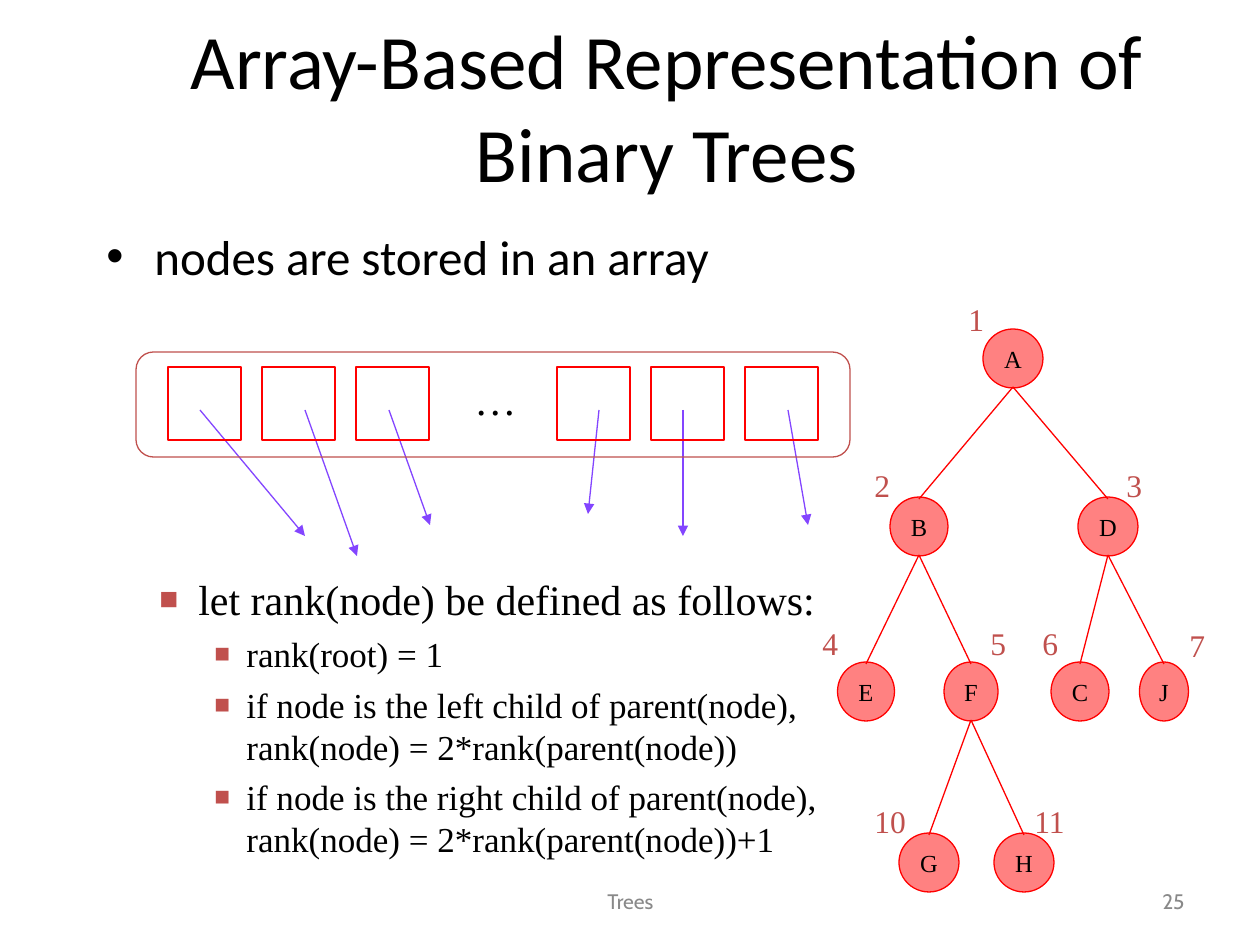
from dataclasses import dataclass

from lxml.etree import SubElement
from pptx import Presentation
from pptx.dml.color import RGBColor
from pptx.enum.shapes import MSO_CONNECTOR, MSO_SHAPE
from pptx.enum.text import MSO_ANCHOR, PP_ALIGN
from pptx.oxml.ns import qn
from pptx.util import Pt

EMU_PER_PX = 914400 / 126


@dataclass(frozen=True)
class Theme:
    heading_font: str = "Calibri"
    body_font: str = "Times New Roman"
    footer_font: str = "Cabin"
    text: str = "000000"
    accent: str = "C0504D"
    muted: str = "898989"
    outline: str = "FF0000"
    node_fill: str = "FF8181"
    pointer: str = "8345FF"
    line_width: float = 0.75
    title_size: int = 44
    lead_size: int = 28
    rule_size: int = 24
    detail_size: int = 20
    rank_size: int = 18
    node_size: int = 14
    footer_size: int = 12


THEME = Theme()

CELL_SIZE, CELL_PITCH, CELL_TOP = 73, 94, 367
CELL_GROUP_LEFTS = (168, 557)
POINTER_TOP = 410
# start x, end x, end y
POINTERS = [(200, 305, 536), (305, 357, 556), (389, 430, 525),
            (599, 588, 514), (683, 683, 536), (788, 808, 525)]

NODE_HEIGHT = 59
LEVEL_TOPS = (329, 497, 662, 833)
# letter: level, centre x, width
NODES = {
    "A": (0, 1013, 60),
    "B": (1, 919, 58), "D": (1, 1108, 60),
    "E": (2, 866, 57), "F": (2, 971, 54), "C": (2, 1080, 58), "J": (2, 1164, 49),
    "G": (3, 929, 60), "H": (3, 1024, 60),
}
EDGES = ("AB", "AD", "BE", "BF", "DC", "DJ", "FG", "FH")
# rank: left, top
RANKS = {
    "1": (956, 294), "2": (862, 460), "3": (1114, 460),
    "4": (810, 618), "5": (978, 618), "6": (1030, 618), "7": (1177, 620),
    "10": (862, 796), "11": (1022, 796),
}
RULES = [
    "rank(root) = 1",
    "if node is the left child of parent(node),\vrank(node) = 2*rank(parent(node))",
    "if node is the right child of parent(node),\vrank(node) = 2*rank(parent(node))+1",
]


def px(*lengths):
    return [round(length * EMU_PER_PX) for length in lengths]


def rgb(value):
    return RGBColor.from_string(value)


def add_bullet(paragraph, character, color, scale, margin, hang):
    properties = paragraph._p.get_or_add_pPr()
    left, indent = px(margin, -hang)
    properties.set("marL", str(left))
    properties.set("indent", str(indent))
    SubElement(SubElement(properties, qn("a:buClr")), qn("a:srgbClr"), val=color)
    SubElement(properties, qn("a:buSzPct"), val=str(scale * 1000))
    SubElement(properties, qn("a:buFont"), typeface="Arial")
    SubElement(properties, qn("a:buChar"), char=character)


def write_text(paragraph, text, *, size, font=THEME.body_font, color=THEME.text,
               align=PP_ALIGN.LEFT, space_before=0, level=0, bullet=None):
    if bullet:
        add_bullet(paragraph, **bullet)
    paragraph.text = text
    paragraph.alignment = align
    paragraph.level = level
    paragraph.space_before = Pt(space_before)
    for run in paragraph.runs:
        run.font.size = Pt(size)
        run.font.name = font
        run.font.color.rgb = rgb(color)


def add_text_box(shapes, box, anchor=MSO_ANCHOR.TOP, wrap=True):
    """Add an empty text box and return its text frame."""
    frame = shapes.add_textbox(*px(*box)).text_frame
    frame.word_wrap = wrap
    frame.vertical_anchor = anchor
    return frame


def add_outlined_shape(shapes, kind, box, line, fill=None):
    shape = shapes.add_shape(kind, *px(*box))
    shape.shadow.inherit = False
    if fill:
        shape.fill.solid()
        shape.fill.fore_color.rgb = rgb(fill)
    else:
        shape.fill.background()
    shape.line.color.rgb = rgb(line)
    shape.line.width = Pt(THEME.line_width)
    return shape


def add_line(shapes, start, end, color, arrow=False):
    connector = shapes.add_connector(MSO_CONNECTOR.STRAIGHT, *px(*start, *end))
    connector.line.color.rgb = rgb(color)
    connector.line.width = Pt(THEME.line_width)
    if arrow:
        SubElement(connector.line._get_or_add_ln(), qn("a:tailEnd"), type="triangle")
    SubElement(connector._element.spPr, qn("a:effectLst"))


def add_array(shapes):
    for start_x, end_x, end_y in POINTERS:
        add_line(shapes, (start_x, POINTER_TOP), (end_x, end_y), THEME.pointer, arrow=True)
    add_outlined_shape(shapes, MSO_SHAPE.ROUNDED_RECTANGLE, (136, 352, 714, 105), THEME.accent)
    for left in CELL_GROUP_LEFTS:
        for index in range(3):
            box = (left + index * CELL_PITCH, CELL_TOP, CELL_SIZE, CELL_SIZE)
            add_outlined_shape(shapes, MSO_SHAPE.RECTANGLE, box, THEME.outline)
    ellipsis = add_text_box(shapes, (462, CELL_TOP, 67, 63), wrap=False)
    write_text(ellipsis.paragraphs[0], "…", size=THEME.rule_size)


def add_tree(shapes):
    for letter, (level, center, width) in NODES.items():
        box = (center - width / 2, LEVEL_TOPS[level], width, NODE_HEIGHT)
        node = add_outlined_shape(shapes, MSO_SHAPE.OVAL, box, THEME.outline, THEME.node_fill)
        node.text_frame.word_wrap = False
        node.text_frame.vertical_anchor = MSO_ANCHOR.MIDDLE
        write_text(node.text_frame.paragraphs[0], letter, size=THEME.node_size,
                   align=PP_ALIGN.CENTER)
    for parent, child in EDGES:
        parent_level, parent_x, _ = NODES[parent]
        child_level, child_x, _ = NODES[child]
        add_line(shapes, (parent_x, LEVEL_TOPS[parent_level] + NODE_HEIGHT - 1),
                 (child_x, LEVEL_TOPS[child_level] + 2), THEME.outline)


def add_ranks(shapes):
    for rank, (left, top) in RANKS.items():
        width = 28 + 16 * len(rank)
        label = add_text_box(shapes, (left, top, width, 50), wrap=False)
        write_text(label.paragraphs[0], rank, size=THEME.rank_size, color=THEME.accent)


def add_rules(shapes):
    frame = add_text_box(shapes, (147, 567, 829, 294))
    square = dict(character="■", color=THEME.accent, scale=75)
    write_text(frame.paragraphs[0], "let rank(node) be defined as follows:",
               size=THEME.rule_size, bullet=dict(square, margin=39, hang=39))
    for rule in RULES:
        write_text(frame.add_paragraph(), rule, size=THEME.detail_size, level=1,
                   space_before=5, bullet=dict(square, margin=87, hang=32))


def main():
    presentation = Presentation()
    presentation.slide_width, presentation.slide_height = px(1260, 945)
    slide = presentation.slides.add_slide(presentation.slide_layouts[6])
    shapes = slide.shapes

    title = add_text_box(shapes, (105, 0, 1124, 210), MSO_ANCHOR.MIDDLE)
    write_text(title.paragraphs[0], "Array-Based Representation of Binary Trees",
               size=THEME.title_size, font=THEME.heading_font, align=PP_ALIGN.CENTER)
    lead = add_text_box(shapes, (94, 220, 725, 84))
    write_text(lead.paragraphs[0], "nodes are stored in an array",
               size=THEME.lead_size, font=THEME.heading_font,
               bullet=dict(character="•", color=THEME.text, scale=100, margin=48, hang=48))
    for text, box, align in (("Trees", (431, 876, 399, 50), PP_ALIGN.CENTER),
                             ("25", (903, 876, 294, 50), PP_ALIGN.RIGHT)):
        footer = add_text_box(shapes, box, MSO_ANCHOR.MIDDLE)
        write_text(footer.paragraphs[0], text, size=THEME.footer_size,
                   font=THEME.footer_font, color=THEME.muted, align=align)

    add_array(shapes.add_group_shape().shapes)
    add_rules(shapes)
    add_ranks(shapes)
    add_tree(shapes.add_group_shape().shapes)

    presentation.save("out.pptx")


if __name__ == "__main__":
    main()
